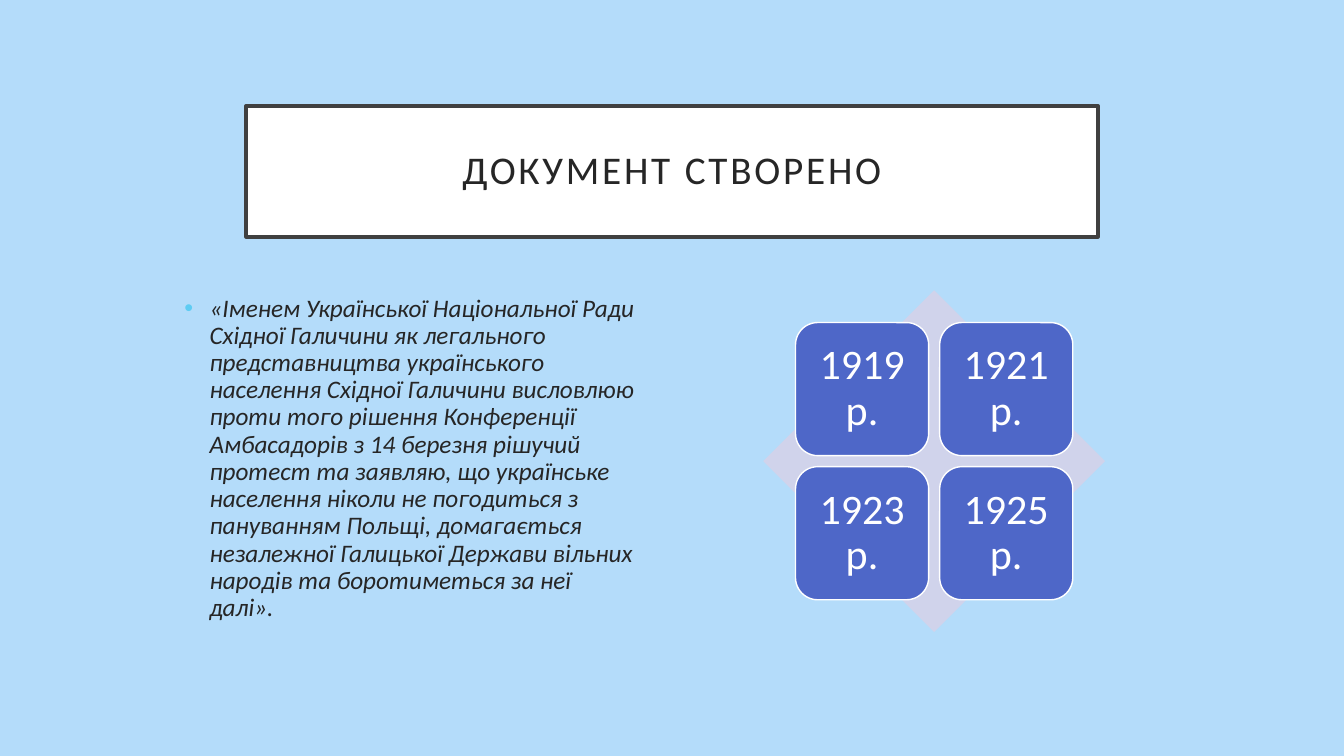
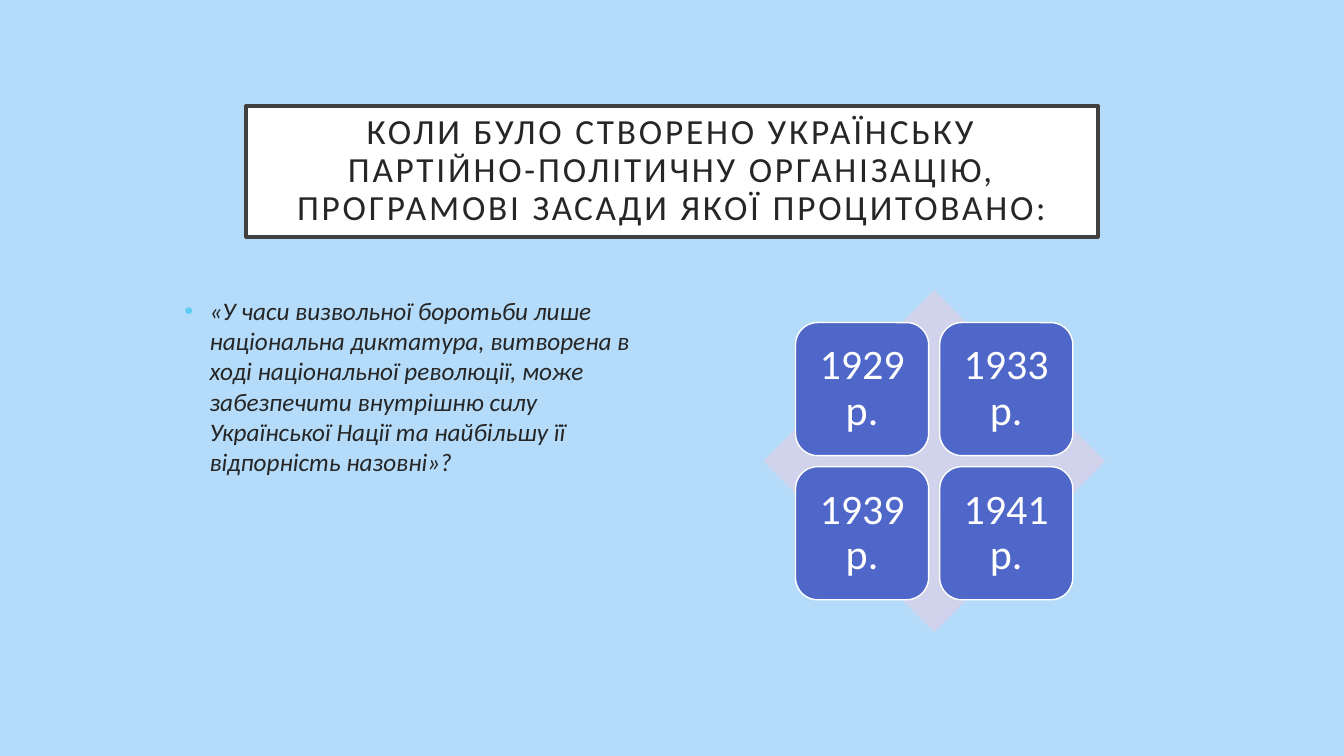
from lxml import etree
from pptx import Presentation
from pptx.dml.color import RGBColor
from pptx.enum import shapes, text
from pptx.oxml import ns
from pptx.util import Inches, Pt

SKY = RGBColor(0xB4, 0xDC, 0xFA)
WHITE = RGBColor(0xFF, 0xFF, 0xFF)
FRAME = RGBColor(0x40, 0x40, 0x40)
INK = RGBColor(0x26, 0x26, 0x26)
TILE = RGBColor(0x4E, 0x67, 0xC8)
DIAMOND = RGBColor(0xD0, 0xD3, 0xEB)
BULLET = "5ECCF3"
FONT = "Calibri"

CONTENT_TOP = 2.88
CONTENT_HEIGHT = 3.39
DIAMOND_LEFT = 7.57
TILE_SIZE = 1.32
TILE_GAP = 0.11


class QuizDeck:
    def __init__(self):
        self.deck = Presentation()
        self.deck.slide_width = Inches(13.33)
        self.deck.slide_height = Inches(7.5)
        background = self.deck.slide_master.background.fill
        background.solid()
        background.fore_color.rgb = SKY
        self.page = None

    def add_page(self):
        self.page = self.deck.slides.add_slide(self.deck.slide_layouts[5])

    def style(self, para, size, color, spacing, italic=False):
        para.line_spacing = spacing
        for span in para.runs:
            span.font.name = FONT
            span.font.size = Pt(size)
            span.font.color.rgb = color
            span.font.italic = italic

    def paint(self, shape, fill, line=None, width=1):
        shape.fill.solid()
        shape.fill.fore_color.rgb = fill
        if line is None:
            shape.line.fill.background()
        else:
            shape.line.color.rgb = line
            shape.line.width = Pt(width)

    def center(self, shape, wording, size, color, side, edge):
        frame = shape.text_frame
        frame.text = wording
        frame.word_wrap = True
        frame.auto_size = text.MSO_AUTO_SIZE.NONE
        frame.vertical_anchor = text.MSO_ANCHOR.MIDDLE
        frame.margin_left = frame.margin_right = Inches(side)
        frame.margin_top = frame.margin_bottom = Inches(edge)
        para = frame.paragraphs[0]
        para.alignment = text.PP_ALIGN.CENTER
        self.style(para, size, color, 0.9)
        return para

    def title(self, wording, size):
        box = self.page.shapes.title
        box.left, box.top = Inches(2.44), Inches(1.05)
        box.width, box.height = Inches(8.45), Inches(1.3)
        self.paint(box, WHITE, FRAME, 2.5)
        para = self.center(box, wording, size, INK, 0.2, 0.05)
        for span in para.runs:
            span.font._element.set("spc", "200")

    def quote(self, wording, spacing):
        box = self.page.shapes.add_textbox(
            Inches(1.73), Inches(CONTENT_TOP), Inches(4.67), Inches(CONTENT_HEIGHT))
        frame = box.text_frame
        frame.word_wrap = True
        frame.text = wording
        para = frame.paragraphs[0]
        props = para._p.get_or_add_pPr()
        props.set("marL", str(Inches(0.25)))
        props.set("indent", str(-Inches(0.25)))
        color = etree.SubElement(props, ns.qn("a:buClr"))
        etree.SubElement(color, ns.qn("a:srgbClr"), val=BULLET)
        etree.SubElement(props, ns.qn("a:buFont"), typeface="Arial")
        etree.SubElement(props, ns.qn("a:buChar"), char="•")
        self.style(para, 18, INK, spacing, italic=True)

    def year_matrix(self, years):
        group = self.page.shapes.add_group_shape()
        diamond = group.shapes.add_shape(
            shapes.MSO_SHAPE.DIAMOND, Inches(DIAMOND_LEFT), Inches(CONTENT_TOP),
            Inches(CONTENT_HEIGHT), Inches(CONTENT_HEIGHT))
        diamond.shadow.inherit = False
        self.paint(diamond, DIAMOND)
        pitch = TILE_SIZE + TILE_GAP
        margin = (CONTENT_HEIGHT - pitch - TILE_SIZE) / 2
        for index, year in enumerate(years):
            row, column = divmod(index, 2)
            tile = group.shapes.add_shape(
                shapes.MSO_SHAPE.ROUNDED_RECTANGLE,
                Inches(DIAMOND_LEFT + margin + column * pitch),
                Inches(CONTENT_TOP + margin + row * pitch),
                Inches(TILE_SIZE), Inches(TILE_SIZE))
            tile.shadow.inherit = False
            self.paint(tile, TILE, WHITE)
            self.center(tile, f"{year} р.", 30, WHITE, 0.12, 0.12)


QUESTIONS = [
    ("ДОКУМЕНТ СТВОРЕНО", 28,
     "«Іменем Української Національної Ради Східної Галичини як легального "
     "представництва українського населення Східної Галичини висловлюю проти того "
     "рішення Конференції Амбасадорів з 14 березня рішучий протест та заявляю, що "
     "українське населення ніколи не погодиться з пануванням Польщі, домагається "
     "незалежної Галицької Держави вільних народів та боротиметься за неї далі».",
     0.9, (1919, 1921, 1923, 1925)),
    ("КОЛИ БУЛО СТВОРЕНО УКРАЇНСЬКУ ПАРТІЙНО-ПОЛІТИЧНУ ОРГАНІЗАЦІЮ, "
     "ПРОГРАМОВІ ЗАСАДИ ЯКОЇ ПРОЦИТОВАНО:", 25.2,
     "«У часи визвольної боротьби лише національна диктатура, витворена в ході "
     "національної революції, може забезпечити внутрішню силу Української Нації "
     "та найбільшу її відпорність назовні»?",
     1.0, (1929, 1933, 1939, 1941)),
]


def main():
    quiz = QuizDeck()
    for heading, size, passage, spacing, years in QUESTIONS:
        quiz.add_page()
        quiz.title(heading, size)
        quiz.quote(passage, spacing)
        quiz.year_matrix(years)
    quiz.deck.save("out.pptx")


if __name__ == "__main__":
    main()
